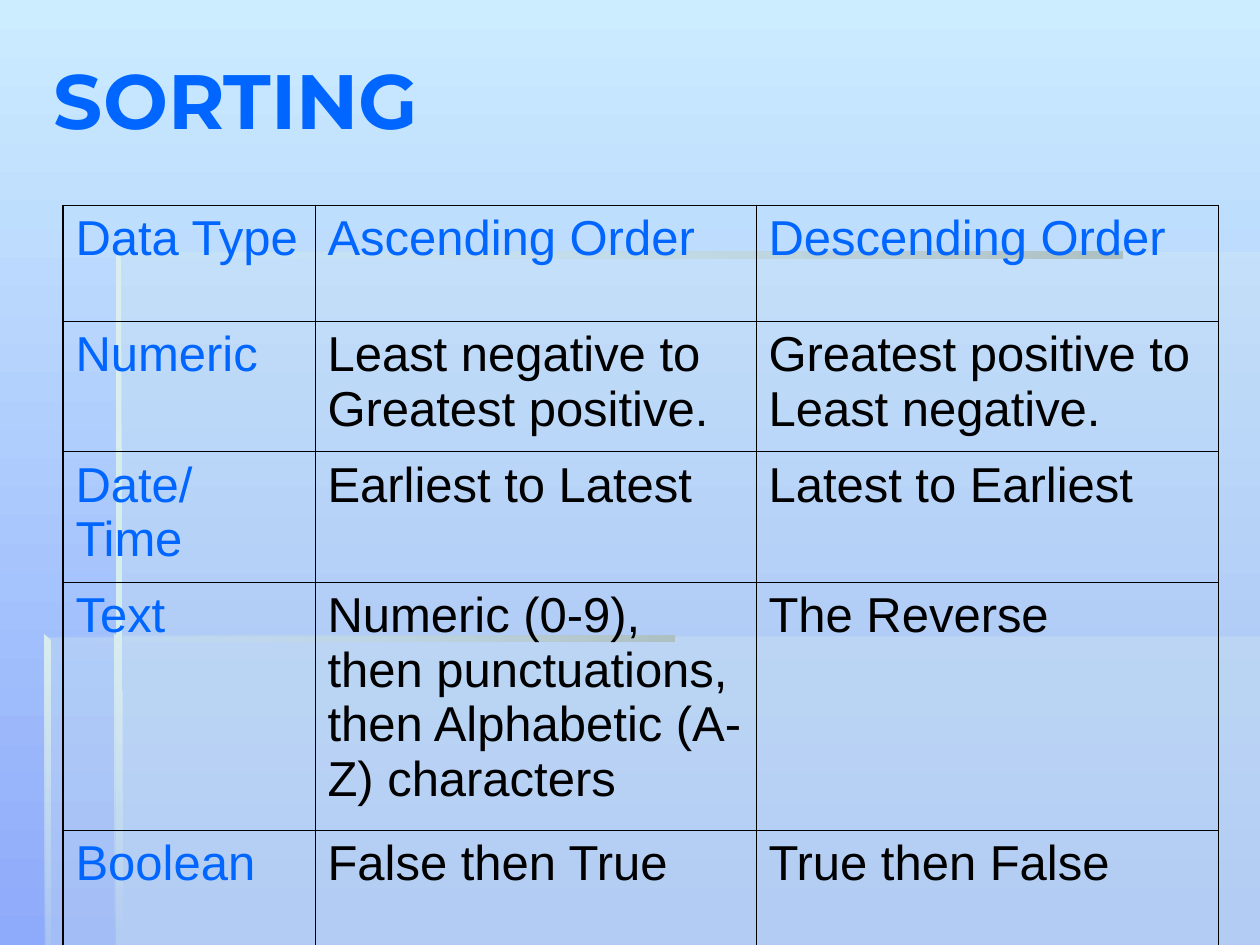
from typing import NamedTuple, Optional

from lxml.etree import SubElement
from pptx import Presentation
from pptx.dml.color import RGBColor as Color
from pptx.dml.fill import FillFormat
from pptx.enum.text import MSO_ANCHOR as Anchor
from pptx.oxml import parse_xml
from pptx.oxml.ns import nsdecls, qn
from pptx.slide import Slide
from pptx.table import _Cell as Cell
from pptx.text.text import _Paragraph as Paragraph
from pptx.util import Inches, Pt

COLORS = {
    "sky": "CCECFF",
    "periwinkle": "8EAAFA",
    "mist": "D6EDEE",
    "pale": "DAEEEF",
    "gray": "AEC1C2",
    "blue": "0066FF",
    "black": "000000",
}
OUTER_LINE, INNER_LINE = 1.08, 0.45


class Stop(NamedTuple):
    color: str
    opacity: int = 100


class Backdrop(NamedTuple):
    points: list[tuple[float, float]]
    start: Stop
    end: Optional[Stop] = None
    angle: int = 0


MIST = Stop("mist", 30)
CLEAR = Stop("mist", 0)
BACKDROPS = [
    Backdrop([(0.92, 5.05), (0.92, 7.5), (10, 7.5), (10, 5.05)], MIST),
    Backdrop([(0.94, 5.06), (0.36, 5.06), (0.36, 7.5), (10, 7.5), (10, 2), (0.94, 2)], MIST),
    Backdrop([(0.92, 2), (0.92, 2.05), (8.91, 2.05), (8.91, 2)], Stop("gray"), CLEAR, 180),
    Backdrop([(0.92, 2), (0.92, 5.1), (0.97, 5.1), (0.96, 2.04)], Stop("pale"), Stop("mist"), 90),
    Backdrop([(0.91, 7.5), (0.97, 7.5), (0.96, 5.08), (0.91, 5.04)], Stop("pale"), CLEAR, 90),
    Backdrop([(0.35, 5.04), (0.35, 5.09), (5.35, 5.09), (5.35, 5.04)], Stop("gray"), CLEAR, 180),
    Backdrop([(0.35, 5.04), (0.35, 7.5), (0.4, 7.5), (0.4, 5.09)], Stop("pale"), Stop("mist", 10), 90),
]

COLUMN_WIDTHS = [2, 3.5, 3.67]
ROW_HEIGHTS = [0.92, 1.03, 1.03, 1.97, 0.92]
ROWS = [
    ["Data Type", "Ascending Order", "Descending Order"],
    ["Numeric", "Least negative to Greatest positive.", "Greatest positive to Least negative."],
    ["Date/ Time", "Earliest to Latest", "Latest to Earliest"],
    ["Text", "Numeric (0-9), then punctuations, then Alphabetic (A-Z) characters", "The Reverse"],
    ["Boolean", "False then True", "True then False"],
]


def rgb(name: str) -> Color:
    return Color.from_string(COLORS[name])


def paint(fill: FillFormat, start: Stop, end: Optional[Stop] = None, angle: int = 0) -> None:
    """Fill with one colour, or with a gradient whose angle runs clockwise."""
    if end is None:
        fill.solid()
        fill.fore_color.rgb = rgb(start.color)
        return
    fill.gradient()
    fill.gradient_angle = (360 - angle) % 360
    for gradient_stop, stop in zip(fill.gradient_stops, (start, end)):
        gradient_stop.color.rgb = rgb(stop.color)


def draw_backdrop(slide: Slide, backdrop: Backdrop) -> None:
    first, *others = [(Inches(x), Inches(y)) for x, y in backdrop.points]
    builder = slide.shapes.build_freeform(*first)
    builder.add_line_segments(others, close=True)
    shape = builder.convert_to_shape()
    shape.shadow.inherit = False
    shape.line.fill.background()
    paint(shape.fill, backdrop.start, backdrop.end, backdrop.angle)
    stops = [stop for stop in (backdrop.start, backdrop.end) if stop]
    fill_colors = [
        element
        for element in shape.element.spPr.iter(qn("a:srgbClr"))
    ]
    for element, stop in zip(fill_colors, stops):
        if stop.opacity < 100:
            SubElement(element, qn("a:alpha"), val=str(stop.opacity * 1000))


def format_text(para: Paragraph, font_name: str, size: int, color: str, bold: bool = False) -> None:
    for span in para.runs:
        span.font.name = font_name
        span.font.size = Pt(size)
        span.font.bold = bold
        span.font.color.rgb = rgb(color)


def set_borders(cell: Cell, widths: dict[str, float]) -> None:
    """Put the border lines ahead of the fill, as the schema requires."""
    properties = cell._tc.get_or_add_tcPr()
    for index, (side, width) in enumerate(widths.items()):
        line = parse_xml(
            f'<a:ln{side} {nsdecls("a")} w="{Pt(width)}"><a:solidFill>'
            f'<a:srgbClr val="{COLORS["black"]}"/></a:solidFill></a:ln{side}>'
        )
        properties.insert(index, line)


def draw_title(slide: Slide) -> None:
    box = slide.shapes.add_textbox(Inches(0.33), Inches(0), Inches(9.17), Inches(1.57))
    frame = box.text_frame
    frame.word_wrap = True
    frame.vertical_anchor = Anchor.MIDDLE
    frame.text = "SORTING"
    format_text(frame.paragraphs[0], "Montserrat", 44, "blue", bold=True)


def draw_table(slide: Slide) -> None:
    last_row, last_column = len(ROWS) - 1, len(COLUMN_WIDTHS) - 1
    table = slide.shapes.add_table(
        len(ROWS), len(COLUMN_WIDTHS), Inches(0.5), Inches(1.63),
        Inches(sum(COLUMN_WIDTHS)), Inches(sum(ROW_HEIGHTS)),
    ).table
    table.first_row = table.horz_banding = False
    for column, width in zip(table.columns, COLUMN_WIDTHS):
        column.width = Inches(width)
    for row, height in zip(table.rows, ROW_HEIGHTS):
        row.height = Inches(height)
    for i, texts in enumerate(ROWS):
        for j, text in enumerate(texts):
            cell = table.cell(i, j)
            cell.fill.background()
            cell.text_frame.text = text
            para = cell.text_frame.paragraphs[0]
            para.space_before = Pt(7)
            format_text(para, "Arial", 28, "blue" if i == 0 or j == 0 else "black")
            on_edge = {"L": j == 0, "R": j == last_column, "T": i == 0, "B": i == last_row}
            set_borders(cell, {
                side: OUTER_LINE if outer else INNER_LINE for side, outer in on_edge.items()
            })


def main() -> None:
    deck = Presentation()
    deck.slide_width, deck.slide_height = Inches(10), Inches(7.5)
    page = deck.slides.add_slide(deck.slide_layouts[6])
    paint(page.background.fill, Stop("sky"), Stop("periwinkle"), 90)
    for backdrop in BACKDROPS:
        draw_backdrop(page, backdrop)
    draw_title(page)
    draw_table(page)
    deck.save("out.pptx")


if __name__ == "__main__":
    main()
